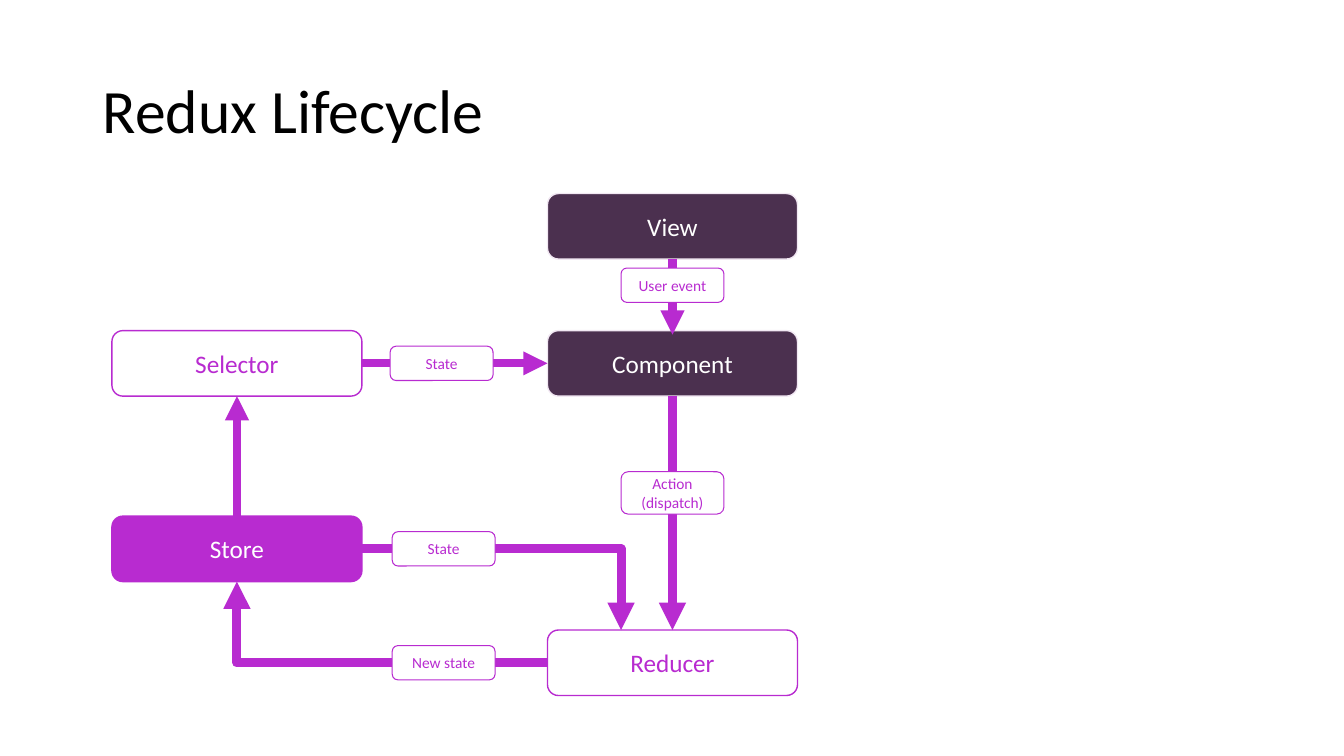
from collections import namedtuple

from lxml.etree import SubElement
from pptx import Presentation
from pptx.dml.color import RGBColor
from pptx.enum.shapes import MSO_CONNECTOR, MSO_SHAPE
from pptx.enum.text import MSO_ANCHOR, PP_ALIGN
from pptx.oxml.ns import qn
from pptx.util import Inches, Pt

FONT = "Calibri"
PURPLE, PLUM, PALE, WHITE, BLACK = "B82BD0", "4B304F", "F2E8F3", "FFFFFF", "000000"
NODE_WIDTH, NODE_HEIGHT = 2.48, 0.65
LABEL_WIDTH, LABEL_HEIGHT, TALL_LABEL_HEIGHT = 1.02, 0.34, 0.42
COLUMNS = (0, 4.32)
ROWS = (0, 1.36, 3.2, 4.33)
THIN, THICK = 5.75, 6.5

Box = namedtuple("Box", "left top width height")


def color(hex_string):
    return RGBColor.from_string(hex_string)


def middle(box):
    return box.left + box.width / 2, box.top + box.height / 2


def format_text(shape, text, size, font_color, alignment):
    shape.text_frame.text = text
    shape.text_frame.word_wrap = True
    shape.text_frame.vertical_anchor = MSO_ANCHOR.MIDDLE
    paragraph = shape.text_frame.paragraphs[0]
    paragraph.alignment = alignment
    font = paragraph.runs[0].font
    font.name, font.size = FONT, Pt(size)
    font.color.rgb = color(font_color)
    return paragraph


def add_box(slide, box, text, size, fill, line, line_width, font_color):
    shape = slide.shapes.add_shape(MSO_SHAPE.ROUNDED_RECTANGLE, *map(Inches, box))
    shape.shadow.inherit = False
    shape.fill.solid()
    shape.fill.fore_color.rgb = color(fill)
    shape.line.color.rgb = color(line)
    shape.line.width = Pt(line_width)
    shape.text_frame.margin_top = shape.text_frame.margin_bottom = 0
    format_text(shape, text, size, font_color, PP_ALIGN.CENTER)


def add_label(slide, center, text, height=LABEL_HEIGHT):
    x, y = center
    box = Box(x - LABEL_WIDTH / 2, y - height / 2, LABEL_WIDTH, height)
    add_box(slide, box, text, 11, WHITE, PURPLE, 0.75, PURPLE)


def add_arrow(slide, start, end, width):
    """Straight where the ends line up, else across first and then up or down."""
    aligned = start[0] == end[0] or start[1] == end[1]
    kind = MSO_CONNECTOR.STRAIGHT if aligned else MSO_CONNECTOR.ELBOW
    connector = slide.shapes.add_connector(kind, *map(Inches, (*start, *end)))
    connector.line.color.rgb = color(PURPLE)
    connector.line.width = Pt(width)
    properties = connector._element.spPr
    if not aligned:
        properties.find(qn("a:prstGeom")).set("prst", "bentConnector2")
    SubElement(properties.find(qn("a:ln")), qn("a:tailEnd"), type="triangle")
    SubElement(properties, qn("a:effectLst"))


def add_title(slide, box, text):
    title = slide.shapes.title
    title.left, title.top, title.width, title.height = map(Inches, box)
    paragraph = format_text(title, text, 44, BLACK, PP_ALIGN.LEFT)
    paragraph.line_spacing = 0.9


def add_lifecycle(slide, area):
    def node(column, row):
        return Box(area.left + COLUMNS[column], area.top + ROWS[row],
                   NODE_WIDTH, NODE_HEIGHT)

    view, component, reducer = node(1, 0), node(1, 1), node(1, 3)
    selector, store = node(0, 1), node(0, 2)
    left_x, selector_y = middle(selector)
    right_x, reducer_y = middle(reducer)
    store_y = middle(store)[1]
    left_edge = selector.left + NODE_WIDTH
    label_x = left_edge + 0.81
    state_x = right_x - LABEL_WIDTH / 2

    nodes = (
        (view, "View", PLUM, PALE, WHITE),
        (component, "Component", PLUM, PALE, WHITE),
        (selector, "Selector", WHITE, PURPLE, PURPLE),
        (store, "Store", PURPLE, PURPLE, WHITE),
        (reducer, "Reducer", WHITE, PURPLE, PURPLE),
    )
    for box, text, fill, line, font_color in nodes:
        add_box(slide, box, text, 18, fill, line, 1, font_color)

    arrows = (
        ((right_x, view.top + NODE_HEIGHT), (right_x, component.top + 0.04), THIN),
        ((right_x, component.top + NODE_HEIGHT), (right_x, reducer.top), THICK),
        ((left_edge, store_y), (state_x, reducer.top), THICK),
        ((reducer.left, reducer_y), (left_x, store.top + NODE_HEIGHT), THICK),
        ((left_x, store.top), (left_x, selector.top + NODE_HEIGHT), THIN),
        ((left_edge, selector_y), (component.left, selector_y), THIN),
    )
    for start, end, width in arrows:
        add_arrow(slide, start, end, width)

    add_label(slide, (right_x, view.top + 0.91), "User event")
    add_label(slide, (right_x, component.top + 1.61), "Action (dispatch)",
              TALL_LABEL_HEIGHT)
    add_label(slide, (label_x - 0.02, selector_y), "State")
    add_label(slide, (label_x, store_y), "State")
    add_label(slide, (label_x, reducer_y), "New state")


def main():
    presentation = Presentation()
    presentation.slide_width = Inches(13.33)
    presentation.slide_height = Inches(7.5)
    slide = presentation.slides.add_slide(presentation.slide_layouts[5])
    add_title(slide, Box(0.92, 0.4, 11.5, 1.45), "Redux Lifecycle")
    add_lifecycle(slide, Box(1.11, 1.92, 6.8, 4.98))
    presentation.save("out.pptx")


if __name__ == "__main__":
    main()
